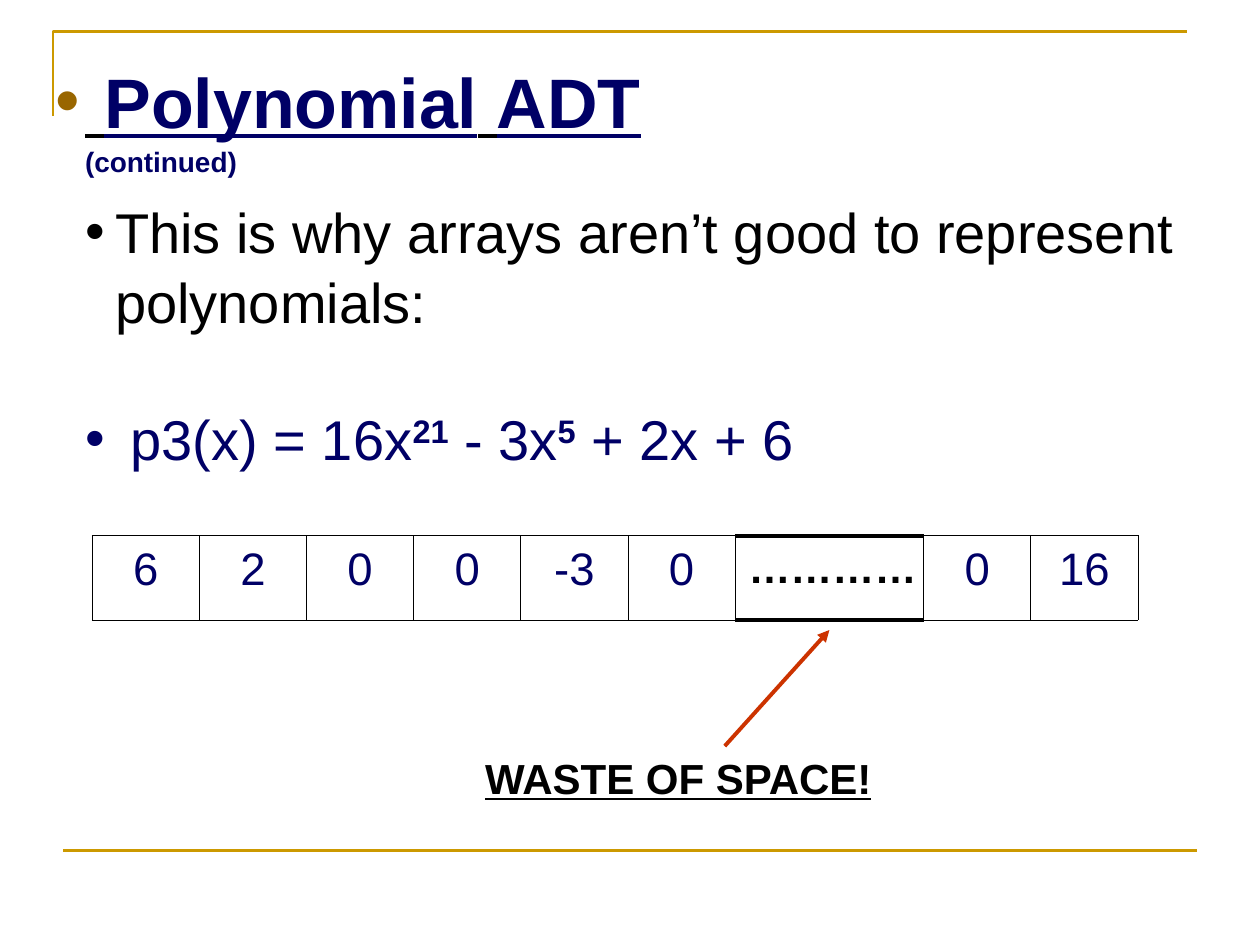
from lxml import etree
from pptx import Presentation
from pptx.dml.color import RGBColor
from pptx.enum import shapes, text
from pptx.oxml import ns
from pptx.util import Cm, Pt

NAVY = RGBColor(0x00, 0x00, 0x66)
BLACK = RGBColor(0x00, 0x00, 0x00)
GOLD = RGBColor(0xCC, 0x99, 0x00)
BROWN = RGBColor(0x99, 0x66, 0x00)
RED = RGBColor(0xCC, 0x33, 0x00)
FONT = "Arial"
INDENT = Cm(0.6)
CELL_WIDTH = 2.16


def add_element(parent, tag, **attributes):
    return etree.SubElement(parent, ns.qn(tag), **attributes)


def add_text(para, words, size, color=BLACK, bold=False, underline=False, raised=False):
    span = para.add_run()
    span.text = words
    font = span.font
    font.name, font.size, font.bold, font.underline = FONT, Pt(size), bold, underline
    font.color.rgb = color
    if raised:
        font._element.set("baseline", "30000")


def add_bullet(para, color):
    properties = para._p.get_or_add_pPr()
    properties.set("marL", str(INDENT))
    properties.set("indent", str(-INDENT))
    bullet_color = add_element(properties, "a:buClr")
    add_element(bullet_color, "a:srgbClr", val=str(color))
    add_element(properties, "a:buFont", typeface=FONT)
    add_element(properties, "a:buChar", char="•")


def add_line(page, start, end, color, width, arrow=False):
    line = page.shapes.add_connector(
        shapes.MSO_CONNECTOR.STRAIGHT, *(Cm(value) for value in start + end))
    line.line.color.rgb = color
    line.line.width = Pt(width)
    if arrow:
        add_element(line.line._get_or_add_ln(), "a:tailEnd", type="triangle")
    add_element(line._element.spPr, "a:effectLst")


def add_box(page, left, top, width, height, wrap=False):
    box = page.shapes.add_textbox(Cm(left), Cm(top), Cm(width), Cm(height))
    box.text_frame.word_wrap = wrap
    return box.text_frame


def add_frame(page, left, top, width, height):
    builder = page.shapes.build_freeform(Cm(left), Cm(top + 1.7))
    builder.add_line_segments(
        [(Cm(left), Cm(top)), (Cm(left + width), Cm(top))], close=False)
    corner = builder.convert_to_shape()
    corner.fill.background()
    corner.line.color.rgb = GOLD
    corner.line.width = Pt(1.5)
    corner.shadow.inherit = False
    bottom = top + height
    add_line(page, (left + 0.2, bottom), (left + 0.2 + width, bottom), GOLD, 1.5)


def add_title(page, left, top, width, height):
    title = page.shapes.title
    title.left, title.top, title.width, title.height = map(Cm, (left, top, width, height))
    frame = title.text_frame
    frame.word_wrap = True
    frame.auto_size = text.MSO_AUTO_SIZE.NONE
    frame.vertical_anchor = text.MSO_ANCHOR.TOP
    para = frame.paragraphs[0]
    para.alignment = text.PP_ALIGN.LEFT
    para.line_spacing = 1.04
    add_bullet(para, BROWN)
    for words, color in ((" ", BLACK), ("Polynomial", NAVY), (" ", BLACK), ("ADT", NAVY)):
        add_text(para, words, 40, color, bold=True, underline=True)
    para.add_line_break()
    add_text(para, "(continued)", 16, NAVY, bold=True)


def add_body(page, left, top, width, height):
    frame = add_box(page, left, top, width, height, wrap=True)
    reason, formula = frame.paragraphs[0], frame.add_paragraph()
    reason.line_spacing = formula.line_spacing = 1.04
    formula.space_before = Pt(38.3)
    add_bullet(reason, BLACK)
    add_text(reason, "This is why arrays aren’t good to represent polynomials:", 32)
    add_bullet(formula, NAVY)
    for words, raised in ((" p3(x) = 16x", False), ("21", True), (" - 3x", False),
                          ("5", True), (" + 2x + 6", False)):
        add_text(formula, words, 32, NAVY, bold=raised, raised=raised)


def add_cells(page, left, top, height, values):
    count = len(values)
    holder = page.shapes.add_table(
        1, count, Cm(left), Cm(top), Cm(CELL_WIDTH * count), Cm(height))
    table = holder.table
    table.first_row = table.horz_banding = False
    for column, value in enumerate(values):
        table.columns[column].width = Cm(CELL_WIDTH)
        cell = table.cell(0, column)
        cell.margin_top = Cm(0.3)
        para = cell.text_frame.paragraphs[0]
        para.alignment = text.PP_ALIGN.CENTER
        para.line_spacing = 0.87
        para.space_before = Pt(6.5)
        add_text(para, value, 26, NAVY)
        properties = cell._tc.get_or_add_tcPr()
        for side in ("L", "R", "T", "B"):
            border = add_element(properties, f"a:ln{side}", w=str(Pt(0.5)))
            fill = add_element(border, "a:solidFill")
            add_element(fill, "a:srgbClr", val=str(BLACK))
        cell.fill.background()


def add_array(page, left, top, width, height):
    first, last = ("6", "2", "0", "0", "-3", "0"), ("0", "16")
    gap_left = left + CELL_WIDTH * len(first)
    gap_right = left + width - CELL_WIDTH * len(last)
    add_cells(page, left, top, height, first)
    add_cells(page, gap_right, top, height, last)
    for level in (top, top + height):
        add_line(page, (gap_left, level), (gap_right, level), BLACK, 2.25)
    dots = add_box(page, gap_left + 0.02, top, 3.89, 1.27)
    add_text(dots.paragraphs[0], "…………", 24, bold=True)


def add_remark(page, left, top, width, height):
    add_line(page, (left + 5.08, top), (left + 7.19, top - 2.34), RED, 2.25, arrow=True)
    remark = add_box(page, left, top, width, height)
    add_text(remark.paragraphs[0], "WASTE OF SPACE!", 24, bold=True, underline=True)


def main():
    deck = Presentation()
    deck.slide_width, deck.slide_height = Cm(25.4), Cm(19.05)
    page = deck.slides.add_slide(deck.slide_layouts[5])
    add_frame(page, 1.07, 0.63, 22.86, 16.51)
    add_title(page, 0.86, 0.99, 15.65, 2.5)
    add_body(page, 1.47, 3.81, 23.29, 5.66)
    add_array(page, 1.86, 10.8, 21.08, 1.7)
    add_remark(page, 9.53, 15.04, 8.41, 1.27)
    deck.save("out.pptx")


if __name__ == "__main__":
    main()
